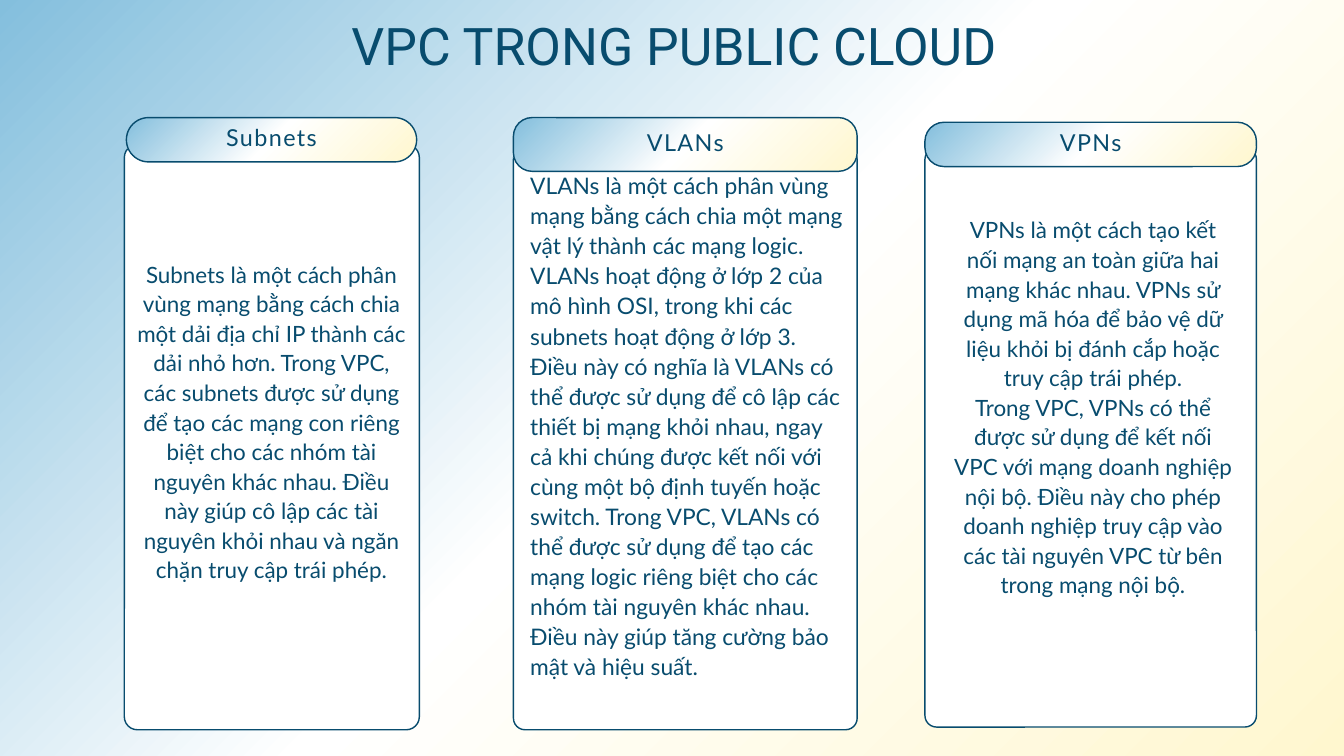
from lxml import etree
from pptx import Presentation
from pptx.dml.color import RGBColor
from pptx.enum.shapes import MSO_SHAPE
from pptx.enum.text import MSO_ANCHOR, MSO_AUTO_SIZE, PP_ALIGN
from pptx.oxml.ns import qn
from pptx.util import Pt

ROUNDED = MSO_SHAPE.ROUNDED_RECTANGLE
TOP, MIDDLE = MSO_ANCHOR.TOP, MSO_ANCHOR.MIDDLE
LEFT, CENTER = PP_ALIGN.LEFT, PP_ALIGN.CENTER
GROW, FIXED = MSO_AUTO_SIZE.SHAPE_TO_FIT_TEXT, MSO_AUTO_SIZE.NONE

NAVY = RGBColor(0x08, 0x4C, 0x6E)
SKY = RGBColor(0x84, 0xBF, 0xDD)
WHITE = RGBColor(0xFF, 0xFF, 0xFF)
CREAM = RGBColor(0xFF, 0xF7, 0xCF)
GRADIENT = ((0, SKY), (50, WHITE), (100, CREAM))
LABEL_RISE = 13

COLUMNS = [
    {
        "label": "Subnets",
        "card": (133.2, 154.8, 316.1, 627.1), "card_radius": 14,
        "tab": (135.4, 126, 311, 47.5), "tab_radius": 23.75,
        "body": (146.9, 276.5, 288, 408.2), "size": 24, "leading": 31.7, "align": CENTER,
        "paras": [
            "Subnets là một cách phân vùng mạng bằng cách chia một dải địa chỉ IP thành các dải nhỏ hơn. "
            "Trong VPC, các subnets được sử dụng để tạo các mạng con riêng biệt cho các nhóm tài nguyên "
            "khác nhau. Điều này giúp cô lập các tài nguyên khỏi nhau và ngăn chặn truy cập trái phép.",
        ],
    },
    {
        "label": "VLANs",
        "card": (550.1, 158.4, 368.3, 623.5), "card_radius": 12.4,
        "tab": (550.1, 126, 368.3, 57.6), "tab_radius": 20,
        "body": (568.1, 181.4, 341.3, 597.6), "size": 24.4, "leading": 32.2, "align": LEFT,
        "paras": [
            "VLANs là một cách phân vùng mạng bằng cách chia một mạng vật lý thành các mạng logic. "
            "VLANs hoạt động ở lớp 2 của mô hình OSI, trong khi các subnets hoạt động ở lớp 3. "
            "Điều này có nghĩa là VLANs có thể được sử dụng để cô lập các thiết bị mạng khỏi nhau, "
            "ngay cả khi chúng được kết nối với cùng một bộ định tuyến hoặc switch. "
            "Trong VPC, VLANs có thể được sử dụng để tạo các mạng logic riêng biệt cho các nhóm "
            "tài nguyên khác nhau. Điều này giúp tăng cường bảo mật và hiệu suất.",
        ],
    },
    {
        "label": "VPNs",
        "card": (991, 158.4, 355.2, 620.6), "card_radius": 12.4,
        "tab": (991, 131, 355.2, 47.5), "tab_radius": 20.5,
        "body": (1021.7, 229, 298.8, 503.3), "size": 24, "leading": 31.7, "align": CENTER,
        "paras": [
            "VPNs là một cách tạo kết nối mạng an toàn giữa hai mạng khác nhau. "
            "VPNs sử dụng mã hóa để bảo vệ dữ liệu khỏi bị đánh cắp hoặc truy cập trái phép.",
            "Trong VPC, VPNs có thể được sử dụng để kết nối VPC với mạng doanh nghiệp nội bộ. "
            "Điều này cho phép doanh nghiệp truy cập vào các tài nguyên VPC từ bên trong mạng nội bộ.",
        ],
    },
]


class SlideBuilder:
    """Draws styled panels and text on one slide."""

    def __init__(self, page):
        self.page = page

    def gradient(self, owner, fill):
        fill.gradient()
        grad = owner.element.xpath(".//a:gradFill")[0]
        for child in list(grad):
            grad.remove(child)
        stops = etree.SubElement(grad, qn("a:gsLst"))
        for position, color in GRADIENT:
            stop = etree.SubElement(stops, qn("a:gs"), pos=str(position * 1000))
            etree.SubElement(stop, qn("a:srgbClr"), val=str(color))
        circle = etree.SubElement(grad, qn("a:path"), path="circle")
        etree.SubElement(circle, qn("a:fillToRect"), l="0", t="0", r="100000", b="100000")

    def background(self):
        self.gradient(self.page, self.page.background.fill)

    def panel(self, area, radius, color=None):
        panel = self.page.shapes.add_shape(ROUNDED, *map(Pt, area))
        panel.adjustments[0] = radius / min(area[2:])
        panel.shadow.inherit = False
        panel.line.color.rgb = NAVY
        panel.line.width = Pt(1.5)
        if color is None:
            self.gradient(panel, panel.fill)
        else:
            panel.fill.solid()
            panel.fill.fore_color.rgb = color

    def text(self, area, paras, size, leading, align=CENTER, font="Lato",
             anchor=TOP, auto_size=GROW, spacing=None):
        frame = self.page.shapes.add_textbox(*map(Pt, area)).text_frame
        frame.margin_left = frame.margin_top = frame.margin_right = frame.margin_bottom = 0
        frame.word_wrap = True
        frame.auto_size = auto_size
        frame.vertical_anchor = anchor
        frame.text = "\n".join(paras)
        for para in frame.paragraphs:
            para.alignment = align
            para.line_spacing = Pt(leading)
            para.font.name = font
            para.font.size = Pt(size)
            para.font.color.rgb = NAVY
            if spacing:
                for span in para.runs:
                    span._r.get_or_add_rPr().set("spc", str(round(spacing * 100)))

    def column(self, column):
        self.panel(column["card"], column["card_radius"], WHITE)
        self.panel(column["tab"], column["tab_radius"])
        left, top, width, height = column["tab"]
        self.text((left, top - LABEL_RISE, width, height + LABEL_RISE), [column["label"]],
                  25, 37.5, anchor=MIDDLE, auto_size=FIXED, spacing=1.6)
        self.text(column["body"], column["paras"], column["size"], column["leading"], column["align"])


def main():
    deck = Presentation()
    deck.slide_width, deck.slide_height = Pt(1440), Pt(810)
    builder = SlideBuilder(deck.slides.add_slide(deck.slide_layouts[6]))
    builder.background()
    builder.text((339.8, 14.4, 765.4, 67), ["VPC TRONG PUBLIC CLOUD"], 55.5, 66.6, font="Roboto")
    for column in COLUMNS:
        builder.column(column)
    deck.save("out.pptx")


if __name__ == "__main__":
    main()
